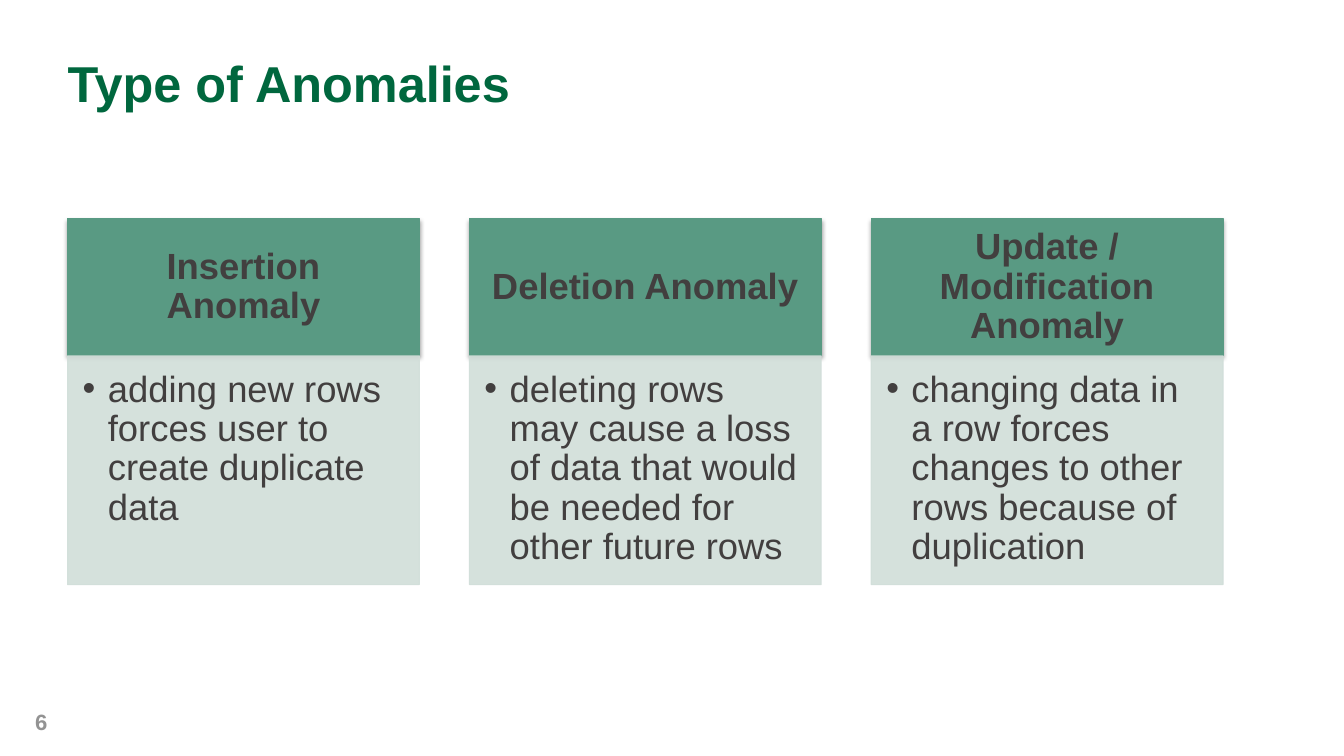
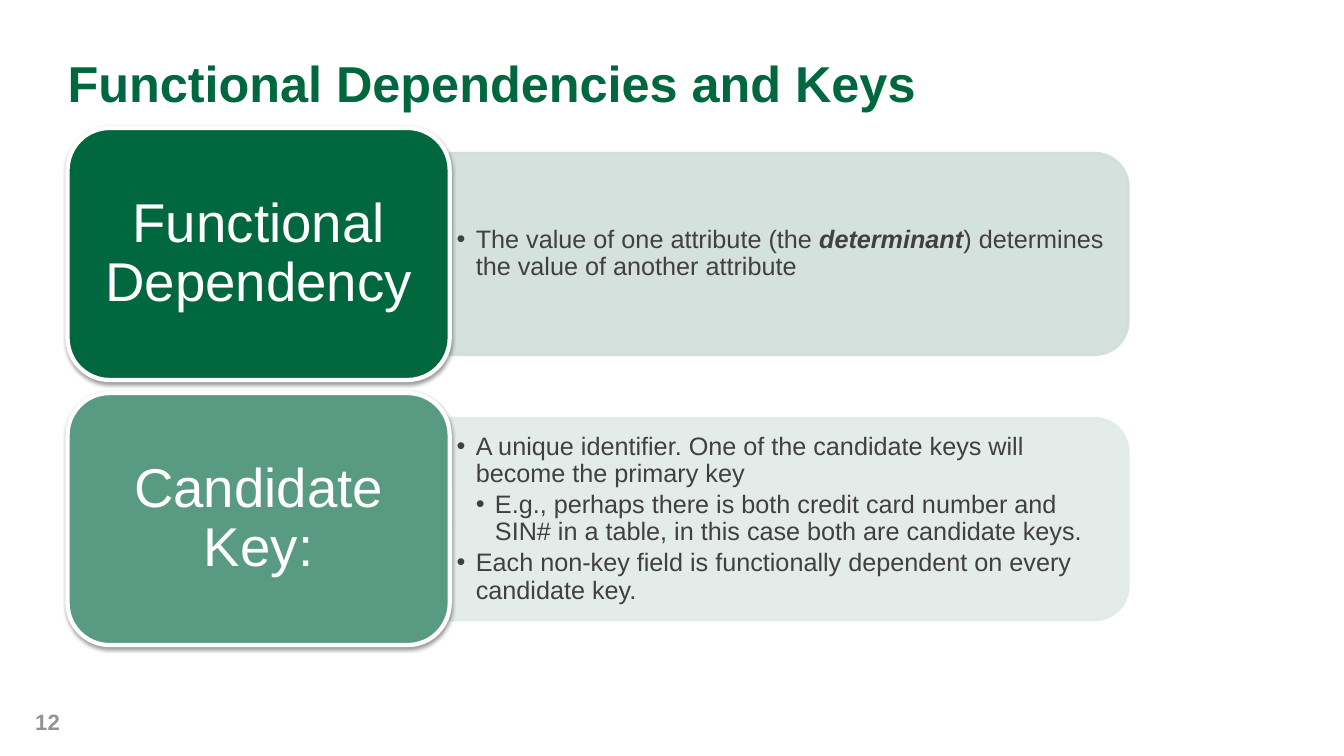
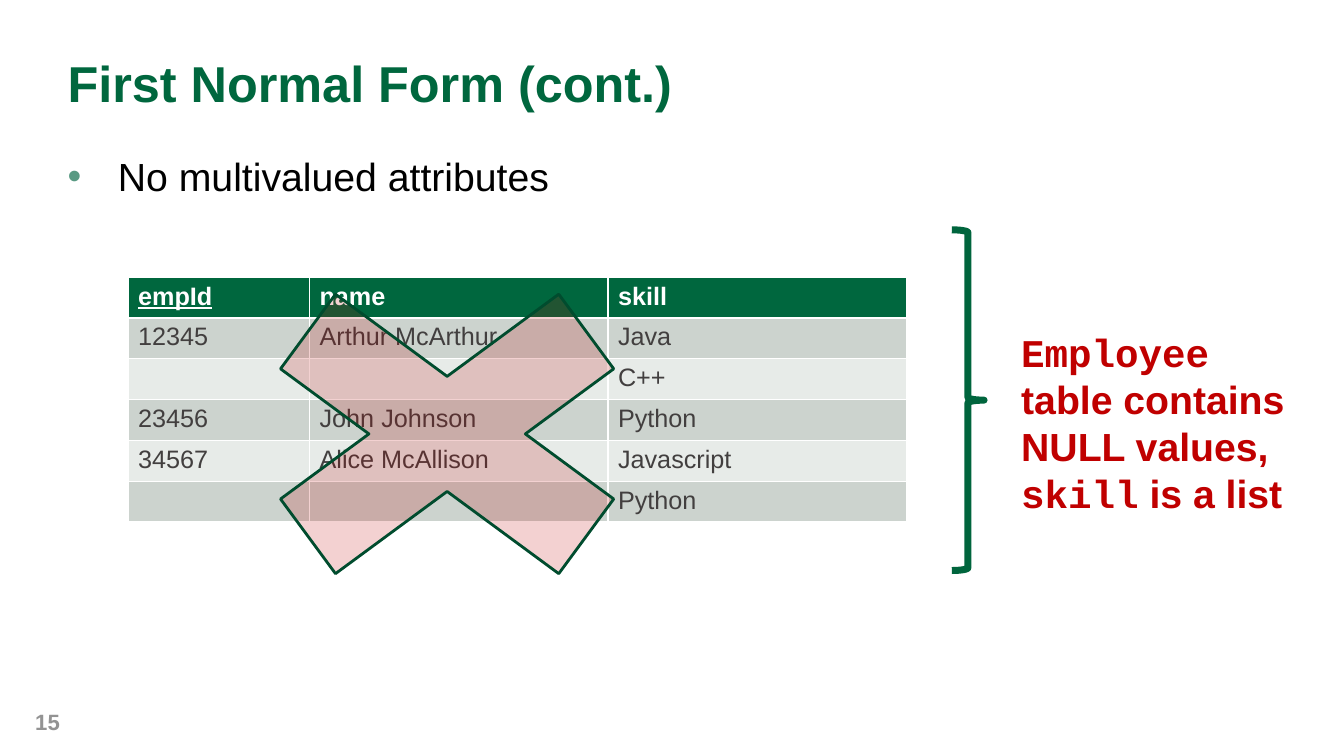
from lxml.etree import SubElement
from pptx import Presentation
from pptx.dml.color import RGBColor
from pptx.enum.shapes import MSO_SHAPE as Preset
from pptx.enum.text import MSO_ANCHOR as Anchor, PP_ALIGN as Align
from pptx.oxml.ns import qn
from pptx.util import Inches, Pt

GREEN = RGBColor(0x00, 0x67, 0x3E)
MID_GREEN = RGBColor(0x59, 0x9A, 0x83)
DARK_GREEN = RGBColor(0x00, 0x4C, 0x2E)
BRACE_GREEN = RGBColor(0x00, 0x65, 0x3D)
PALE_GREEN = RGBColor(0xD1, 0xDE, 0xD9)
PALEST_GREEN = RGBColor(0xE1, 0xEB, 0xE7)
BAND_DARK = RGBColor(0xCC, 0xD3, 0xCE)
BAND_LIGHT = RGBColor(0xE7, 0xEB, 0xE8)
INK = RGBColor(0x42, 0x3F, 0x3F)
GRAY = RGBColor(0x93, 0x93, 0x93)
RED = RGBColor(0xC0, 0x00, 0x00)
BLACK = RGBColor(0x00, 0x00, 0x00)
WHITE = RGBColor(0xFF, 0xFF, 0xFF)
SANS = "Arial"
MONO = "Courier New"


def set_font(font, size, color, bold=False):
    font.name = SANS
    font.size = Pt(size)
    font.color.rgb = color
    font.bold = bold


def set_frame(frame, insets, anchor=Anchor.TOP):
    frame.word_wrap = True
    frame.vertical_anchor = anchor
    frame.margin_left, frame.margin_top, frame.margin_right, frame.margin_bottom = map(Inches, insets)


def add_text_box(slide, left, top, width, height, insets=(0, 0, 0, 0), anchor=Anchor.TOP):
    box = slide.shapes.add_textbox(Inches(left), Inches(top), Inches(width), Inches(height))
    set_frame(box.text_frame, insets, anchor)
    return box.text_frame


def set_bullet(paragraph, left, hanging, color=None):
    properties = paragraph._p.get_or_add_pPr()
    properties.set("marL", str(Inches(left)))
    properties.set("indent", str(-Inches(hanging)))
    if color is not None:
        bullet_color = SubElement(properties, qn("a:buClr"))
        SubElement(bullet_color, qn("a:srgbClr"), val=str(color))
    SubElement(properties, qn("a:buFont"), typeface=SANS)
    SubElement(properties, qn("a:buChar"), char="•")


def write(paragraph, text, size, color, bold=False, spacing=0.9, align=Align.LEFT):
    paragraph.text = text
    paragraph.line_spacing = spacing
    paragraph.alignment = align
    set_font(paragraph.font, size, color, bold)


def add_shape(slide, preset, left, top, width, height, fill=None, line=None, line_width=0.75):
    shape = slide.shapes.add_shape(preset, Inches(left), Inches(top), Inches(width), Inches(height))
    shape.shadow.inherit = False
    if fill is None:
        shape.fill.background()
    else:
        shape.fill.solid()
        shape.fill.fore_color.rgb = fill
    if line is None:
        shape.line.fill.background()
    else:
        shape.line.color.rgb = line
        shape.line.width = Pt(line_width)
    return shape


def fade(shape, opacity):
    for color in shape._element.spPr.iter(qn("a:srgbClr")):
        SubElement(color, qn("a:alpha"), val=str(opacity * 1000))


def add_shadow(shape):
    effects = shape._element.spPr.find(qn("a:effectLst"))
    shadow = SubElement(effects, qn("a:outerShdw"), blurRad=str(Pt(3.1)), dist=str(Pt(1.6)),
                        dir="5400000", rotWithShape="0")
    color = SubElement(shadow, qn("a:srgbClr"), val="000000")
    SubElement(color, qn("a:alpha"), val="38000")


def add_slide(presentation, title, number):
    slide = presentation.slides.add_slide(presentation.slide_layouts[6])
    title_frame = add_text_box(slide, 0.67, 0.63, 11.88, 1.1)
    write(title_frame.paragraphs[0], title, 36, GREEN, True, spacing=0.8)
    number_frame = add_text_box(slide, 0.35, 6.96, 0.97, 0.4, anchor=Anchor.MIDDLE)
    write(number_frame.paragraphs[0], number, 15.8, GRAY, True, spacing=1.0)
    return slide


def add_card(slide, left, heading, description):
    top, width, header_height = 2.17, 3.49, 1.36
    header = add_shape(slide, Preset.RECTANGLE, left, top, width, header_height, MID_GREEN, MID_GREEN)
    add_shadow(header)
    set_frame(header.text_frame, (0.2, 0.12, 0.2, 0.12), Anchor.MIDDLE)
    write(header.text_frame.paragraphs[0], heading, 26, INK, True, align=Align.CENTER)

    body = add_shape(slide, Preset.RECTANGLE, left, top + header_height, width, 2.27,
                     PALE_GREEN, PALE_GREEN)
    fade(body, 90)
    set_frame(body.text_frame, (0.15, 0.15, 0.2, 0.23))
    paragraph = body.text_frame.paragraphs[0]
    set_bullet(paragraph, 0.25, 0.25)
    write(paragraph, description, 26, INK)


def add_definition(slide, top, term, term_fill, panel_fill, points):
    left, width, height = 0.67, 3.79, 2.5
    panel_width, panel_height = 6.73, 2
    center_x = left + width + panel_width / 2
    center_y = top + height / 2
    panel = add_shape(slide, Preset.ROUND_2_SAME_RECTANGLE,
                      center_x - panel_height / 2, center_y - panel_width / 2,
                      panel_height, panel_width, panel_fill, panel_fill, 2)
    panel.rotation = 90
    fade(panel, 90)
    frame = add_text_box(slide, left + width, center_y - 0.9, 6.63, 1.8,
                         (0.07, 0.04, 0.07, 0.04), Anchor.MIDDLE)
    for index, (level, runs) in enumerate(points):
        paragraph = frame.add_paragraph() if index else frame.paragraphs[0]
        set_bullet(paragraph, 0.19 * level, 0.19)
        write(paragraph, "", 18, INK)
        paragraph.space_after = Pt(2.7)
        for text, emphasis in runs:
            run = paragraph.add_run()
            run.text = text
            if emphasis:
                run.font.bold = run.font.italic = True

    label = add_shape(slide, Preset.ROUNDED_RECTANGLE, left, top, width, height, term_fill, WHITE, 3)
    add_shadow(label)
    set_frame(label.text_frame, (0.16, 0.08, 0.16, 0.08), Anchor.MIDDLE)
    write(label.text_frame.paragraphs[0], term, 39, WHITE, align=Align.CENTER)


def add_table(slide, left, top, column_widths, row_height, rows):
    table = slide.shapes.add_table(len(rows), len(column_widths), Inches(left), Inches(top),
                                   Inches(sum(column_widths)), Inches(row_height * len(rows))).table
    for column, width in zip(table.columns, column_widths):
        column.width = Inches(width)
    for row_index, values in enumerate(rows):
        is_header = row_index == 0
        band = BAND_DARK if row_index % 2 else BAND_LIGHT
        for column_index, value in enumerate(values):
            cell = table.cell(row_index, column_index)
            cell.fill.solid()
            cell.fill.fore_color.rgb = GREEN if is_header else band
            paragraph = cell.text_frame.paragraphs[0]
            write(paragraph, value, 18, WHITE if is_header else INK, is_header, spacing=1.0)
    table.cell(0, 0).text_frame.paragraphs[0].font.underline = True


def build_anomalies(presentation):
    slide = add_slide(presentation, "Type of Anomalies", "6")
    cards = [
        ("Insertion Anomaly", "adding new rows forces user to create duplicate data"),
        ("Deletion Anomaly",
         "deleting rows may cause a loss of data that would be needed for other future rows"),
        ("Update / Modification Anomaly",
         "changing data in a row forces changes to other rows because of duplication"),
    ]
    for index, (heading, description) in enumerate(cards):
        add_card(slide, 0.67 + 3.985 * index, heading, description)


def build_keys(presentation):
    slide = add_slide(presentation, "Functional Dependencies and Keys", "12")
    add_definition(slide, 1.27, "Functional Dependency", GREEN, PALE_GREEN, [
        (1, [("The value of one attribute (the ", False), ("determinant", True),
             (") determines the value of another attribute", False)]),
    ])
    add_definition(slide, 3.9, "Candidate Key:", MID_GREEN, PALEST_GREEN, [
        (1, [("A unique identifier. One of the candidate keys will become the primary key", False)]),
        (2, [("E.g., perhaps there is both credit card number and SIN# in a table, "
              "in this case both are candidate keys.", False)]),
        (1, [("Each non-key field is functionally dependent on every candidate key.", False)]),
    ])


def build_normal_form(presentation):
    slide = add_slide(presentation, "First Normal Form (cont.)", "15")
    paragraph = add_text_box(slide, 0.67, 1.56, 8.5, 0.76).paragraphs[0]
    set_bullet(paragraph, 0.5, 0.5, MID_GREEN)
    write(paragraph, "No multivalued attributes", 28, BLACK)

    add_table(slide, 1.27, 2.75, (1.8, 2.96, 2.96), 0.405, [
        ("empId", "name", "skill"),
        ("12345", "Arthur McArthur", "Java"),
        ("", "", "C++"),
        ("23456", "John Johnson", "Python"),
        ("34567", "Alice McAllison", "Javascript"),
        ("", "", "Python"),
    ])
    add_shape(slide, Preset.RIGHT_BRACE, 9.44, 2.28, 0.32, 3.38, line=BRACE_GREEN, line_width=5)

    note = add_text_box(slide, 10.03, 3.21, 2.81, 1.99, (0.1, 0.05, 0.1, 0.05)).paragraphs[0]
    set_font(note.font, 28, RED, True)
    for text, typeface in (("Employee", MONO), (" table contains NULL values, ", SANS),
                           ("skill", MONO), (" is a list", SANS)):
        run = note.add_run()
        run.text = text
        run.font.name = typeface

    cross = add_shape(slide, Preset.MATH_MULTIPLY, 1.78, 2.35, 5.31, 3.91, RED)
    fade(cross, 18)
    cross.line.color.rgb = DARK_GREEN
    cross.line.width = Pt(2)


def main():
    presentation = Presentation()
    presentation.slide_width = Inches(13.33)
    presentation.slide_height = Inches(7.5)
    build_anomalies(presentation)
    build_keys(presentation)
    build_normal_form(presentation)
    presentation.save("out.pptx")


if __name__ == "__main__":
    main()
